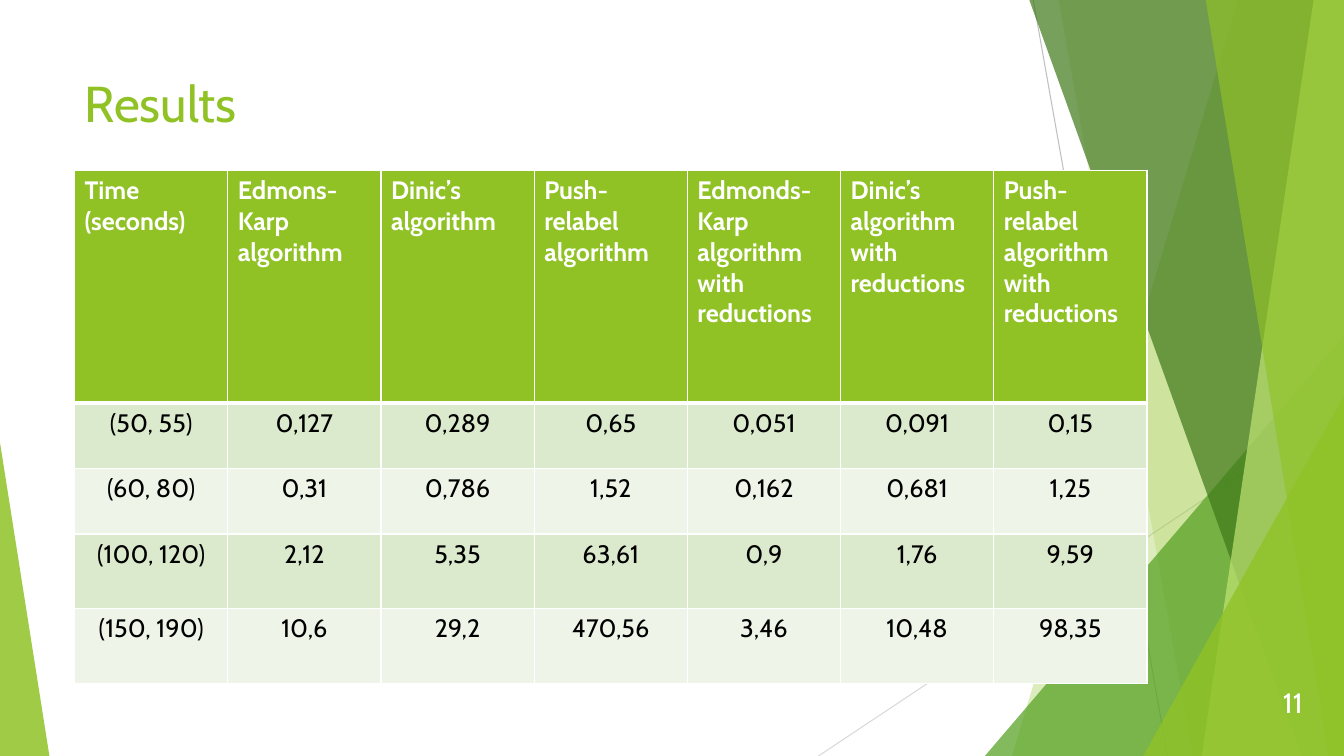
from dataclasses import dataclass

from lxml.etree import SubElement
from pptx import Presentation
from pptx.dml.color import RGBColor
from pptx.enum.shapes import MSO_CONNECTOR as Connector, MSO_SHAPE as Preset
from pptx.enum.text import MSO_ANCHOR as Anchor, MSO_AUTO_SIZE as AutoSize, PP_ALIGN as Align
from pptx.oxml.ns import qn
from pptx.util import Emu, Inches, Pt

WIDTH, HEIGHT = Inches(13.333), Inches(7.5)


@dataclass(frozen=True)
class Theme:
    font: str = "Cabin"
    lime: str = "90C226"
    green: str = "54A021"
    forest: str = "3F7819"
    pale: str = "C0E474"
    band_dark: str = "DBE9CD"
    band_light: str = "EEF4E8"
    white: str = "FFFFFF"
    black: str = "000000"
    line_dark: str = "BFBFBF"
    line_light: str = "D9D9D9"
    title_size: int = 36
    number_size: int = 20
    table_size: int = 18


THEME = Theme()


# Positions are percentages of the slide's width and height.
def across(percent: float) -> Emu:
    return Emu(round(WIDTH * percent / 100))


def down(percent: float) -> Emu:
    return Emu(round(HEIGHT * percent / 100))


@dataclass(frozen=True)
class Ray:
    start: tuple[float, float]
    end: tuple[float, float]
    color: str


@dataclass(frozen=True)
class Facet:
    """Area from a slanted left edge to the right side of the slide."""
    top_x: float
    bottom_x: float
    color: str
    opacity: int


@dataclass(frozen=True)
class Corner:
    """Right triangle standing on the bottom of the slide."""
    left: float
    right: float
    top: float
    apex: int
    color: str
    opacity: int


RAYS = [
    Ray((76.88, 0), (86.87, 100), THEME.line_dark),
    Ray((100, 53.73), (60.9, 100), THEME.line_light),
]
PANELS = [
    Facet(92.1, 75.3, THEME.lime, 30),
    Facet(78.76, 88.74, THEME.lime, 20),
    Corner(73.28, 100, 44.4, 1, THEME.green, 72),
    Facet(76.59, 96.84, THEME.forest, 70),
    Facet(97.74, 89.42, THEME.pale, 70),
    Facet(89.71, 98.87, THEME.lime, 65),
    Corner(85.06, 100, 52.4, 1, THEME.lime, 80),
    Corner(0, 3.68, 58.53, 0, THEME.lime, 85),
]
MARGIN = 5.55
ROW_HEIGHTS = [30.8, 8.6, 8.7, 9.87, 9.87]
RESULTS = [
    ["Time (seconds)", "Edmons-Karp algorithm", "Dinic’s algorithm", "Push-relabel algorithm",
     "Edmonds-Karp algorithm with reductions", "Dinic’s algorithm with reductions",
     "Push-relabel algorithm with reductions"],
    ["(50, 55)", "0,127", "0,289", "0,65", "0,051", "0,091", "0,15"],
    ["(60, 80)", "0,31", "0,786", "1,52", "0,162", "0,681", "1,25"],
    ["(100, 120)", "2,12", "5,35", "63,61", "0,9", "1,76", "9,59"],
    ["(150, 190)", "10,6", "29,2", "470,56", "3,46", "10,48", "98,35"],
]


def style_text(para, size: int, color: str, align: Align, bold: bool = False) -> None:
    para.alignment = align
    para.font.name = THEME.font
    para.font.size = Pt(size)
    para.font.bold = bold
    para.font.color.rgb = RGBColor.from_string(color)


def draw_ray(page, ray: Ray) -> None:
    (x1, y1), (x2, y2) = ray.start, ray.end
    line = page.shapes.add_connector(
        Connector.STRAIGHT, across(x1), down(y1), across(x2), down(y2))
    line.line.color.rgb = RGBColor.from_string(ray.color)
    line.line.width = Pt(0.75)
    SubElement(line.element.spPr, qn("a:effectLst"))


def draw_panel(page, panel: Facet | Corner) -> None:
    if isinstance(panel, Facet):
        outline = page.shapes.build_freeform(across(panel.top_x), 0)
        outline.add_line_segments(
            [(WIDTH, 0), (WIDTH, HEIGHT), (across(panel.bottom_x), HEIGHT)], close=True)
        shape = outline.convert_to_shape()
    else:
        shape = page.shapes.add_shape(
            Preset.ISOSCELES_TRIANGLE, across(panel.left), down(panel.top),
            across(panel.right - panel.left), down(100 - panel.top))
        shape.adjustments[0] = panel.apex
    shape.shadow.inherit = False
    shape.line.fill.background()
    shape.fill.solid()
    shape.fill.fore_color.rgb = RGBColor.from_string(panel.color)
    color = next(shape.element.spPr.iter(qn("a:srgbClr")))
    SubElement(color, qn("a:alpha"), val=str(panel.opacity * 1000))


def draw_title(page, text: str) -> None:
    title = page.shapes.title
    title.left, title.top = across(MARGIN), down(8.93)
    title.width, title.height = across(70.5), down(19.2)
    frame = title.text_frame
    frame.text = text
    frame.vertical_anchor = Anchor.TOP
    frame.auto_size = AutoSize.NONE
    style_text(frame.paragraphs[0], THEME.title_size, THEME.lime, Align.LEFT)
    # Bring the title in front of the decoration
    title.element.getparent().append(title.element)


def draw_number(page, text: str) -> None:
    box = page.shapes.add_textbox(across(92.04), down(90.27), across(5.63), down(5.33))
    frame = box.text_frame
    frame.word_wrap = True
    frame.vertical_anchor = Anchor.MIDDLE
    frame.text = text
    style_text(frame.paragraphs[0], THEME.number_size, THEME.white, Align.RIGHT)


def set_borders(cell, top: int, bottom: int) -> None:
    properties = cell._tc.get_or_add_tcPr()
    for side, points in {"L": 1, "R": 1, "T": top, "B": bottom}.items():
        border = SubElement(properties, qn(f"a:ln{side}"), w=str(Pt(points)))
        fill = SubElement(border, qn("a:solidFill"))
        SubElement(fill, qn("a:srgbClr"), val=THEME.white)


def draw_results(page) -> None:
    frame = page.shapes.add_table(
        len(RESULTS), len(RESULTS[0]), across(MARGIN), down(22.53),
        across(79.8), down(sum(ROW_HEIGHTS)))
    table = frame.table
    for row, height in zip(table.rows, ROW_HEIGHTS):
        row.height = down(height)
    for r, values in enumerate(RESULTS):
        header = r == 0
        band = THEME.lime if header else THEME.band_dark if r % 2 else THEME.band_light
        for c, value in enumerate(values):
            cell = table.cell(r, c)
            set_borders(cell, top=3 if r == 1 else 1, bottom=3 if header else 1)
            cell.fill.solid()
            cell.fill.fore_color.rgb = RGBColor.from_string(band)
            cell.text = value
            style_text(cell.text_frame.paragraphs[0], THEME.table_size,
                       THEME.white if header else THEME.black,
                       Align.LEFT if header else Align.CENTER, bold=header)


def main() -> None:
    deck = Presentation()
    deck.slide_width, deck.slide_height = WIDTH, HEIGHT
    page = deck.slides.add_slide(deck.slide_layouts[5])

    # Decoration
    for ray in RAYS:
        draw_ray(page, ray)
    for panel in PANELS:
        draw_panel(page, panel)

    # Content
    draw_title(page, "Results")
    draw_number(page, "11")
    draw_results(page)
    deck.save("out.pptx")


if __name__ == "__main__":
    main()
